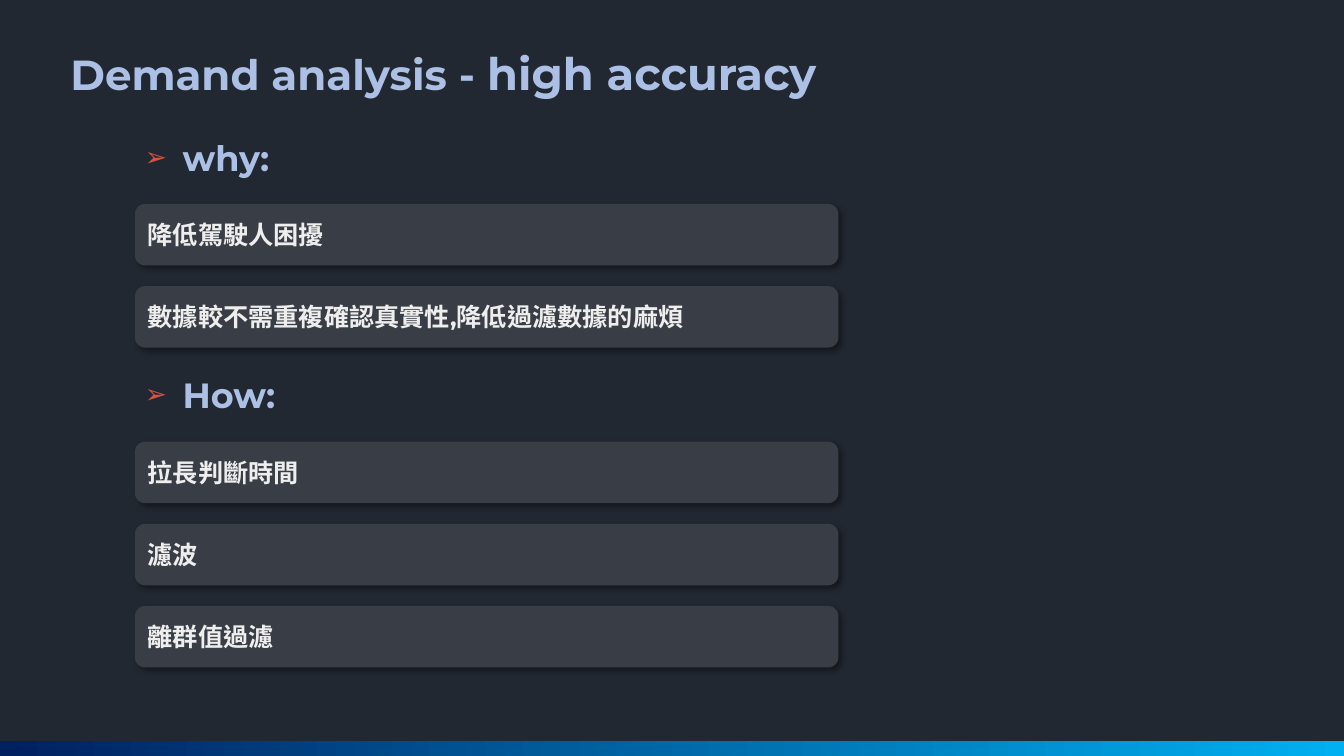
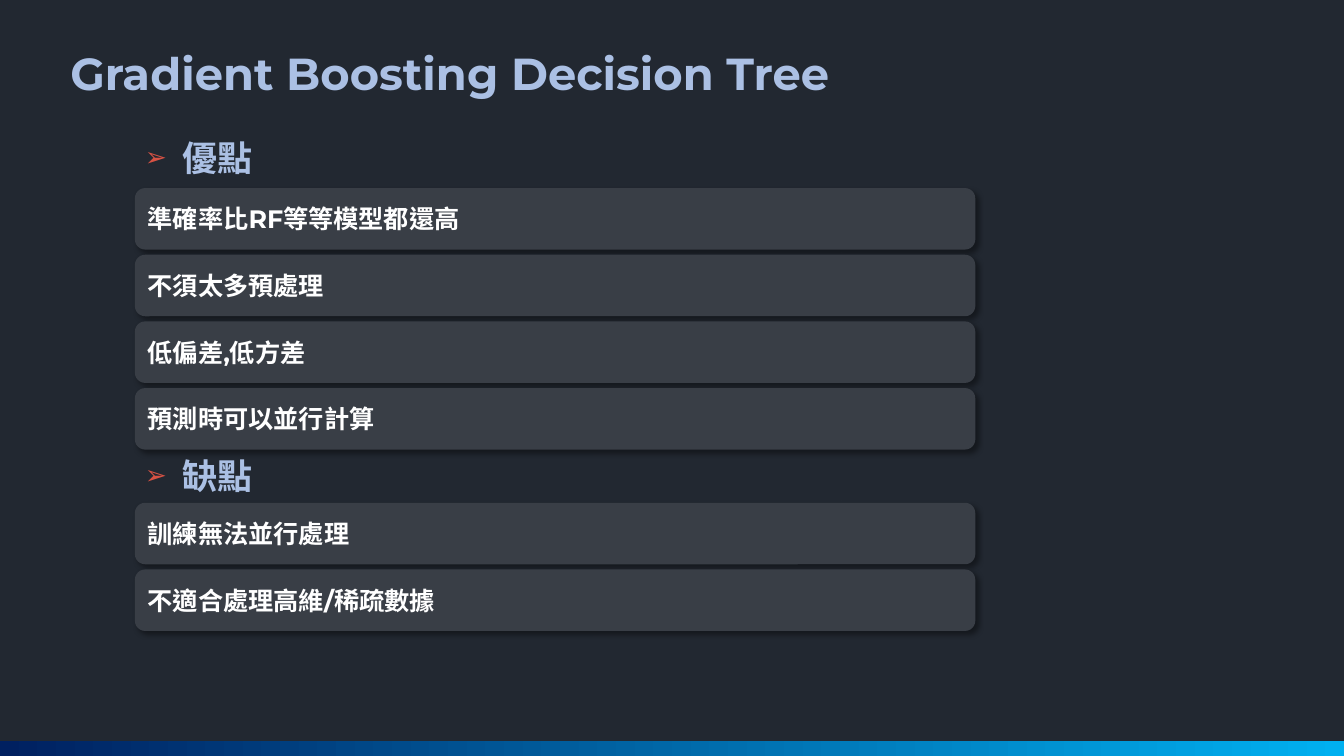
from dataclasses import dataclass

from lxml import etree
from pptx import Presentation
from pptx.dml.color import RGBColor
from pptx.enum.lang import MSO_LANGUAGE_ID
from pptx.enum.shapes import MSO_SHAPE
from pptx.enum.text import MSO_ANCHOR, MSO_AUTO_SIZE, PP_ALIGN
from pptx.oxml.ns import qn
from pptx.slide import Slide, SlideLayout
from pptx.util import Cm, Pt

RECTANGLE = MSO_SHAPE.RECTANGLE
ROUNDED = MSO_SHAPE.ROUNDED_RECTANGLE
TOP, MIDDLE = MSO_ANCHOR.TOP, MSO_ANCHOR.MIDDLE
LEFT = PP_ALIGN.LEFT
FIT_TEXT = MSO_AUTO_SIZE.SHAPE_TO_FIT_TEXT
CHINESE = MSO_LANGUAGE_ID.TRADITIONAL_CHINESE
TWO_CONTENT_LAYOUT = 3

PAGE_WIDTH, PAGE_HEIGHT = 33.87, 19.05
BAND_HEIGHT = 0.38
TITLE_LEFT, TITLE_TOP, TITLE_HEIGHT = 1.52, 1.02, 1.63
CONTENT_LEFT = 3.4
HEADING_HEIGHT = 1.32
CARD_HEIGHT = 1.55
BULLET_INDENT = Cm(0.95)


@dataclass(frozen=True)
class Theme:
    font: str = "Montserrat"
    background: str = "222831"
    band_start: str = "002060"
    band_end: str = "00B0F0"
    accent: str = "ABC0E4"
    bullet: str = "D75244"
    card: str = "393E46"
    shadow: str = "000000"
    soft_white: str = "EEEEEE"
    white: str = "FFFFFF"
    title_size: int = 32
    small_title_size: int = 30
    heading_size: int = 25
    card_size: int = 18


THEME = Theme()


@dataclass(frozen=True)
class Span:
    text: str
    size: int = THEME.title_size


@dataclass(frozen=True)
class Section:
    heading: str
    heading_top: float
    heading_width: float
    cards_top: float
    cards: tuple[str, ...]


@dataclass(frozen=True)
class PageContent:
    title: tuple[Span, ...]
    title_width: float
    card_width: float
    card_pitch: float
    card_text_color: str
    sections: tuple[Section, Section]


PAGES = (
    PageContent(
        title=(
            Span("Demand analysis - ", THEME.small_title_size),
            Span("high accuracy"),
        ),
        title_width=20.35,
        card_width=17.73,
        card_pitch=2.07,
        card_text_color=THEME.soft_white,
        sections=(
            Section("why:", 3.3, 4.06, 5.14,
                    ("降低駕駛人困擾",
                     "數據較不需重複確認真實性,降低過濾數據的麻煩")),
            Section("How:", 9.28, 4.24, 11.13,
                    ("拉長判斷時間", "濾波", "離群值過濾")),
        ),
    ),
    PageContent(
        title=(Span("Gradient Boosting Decision Tree"),),
        title_width=20.78,
        card_width=21.18,
        card_pitch=1.68,
        card_text_color=THEME.white,
        sections=(
            Section("優點", 3.3, 3.25, 4.74,
                    ("準確率比RF等等模型都還高", "不須太多預處理",
                     "低偏差,低方差", "預測時可以並行計算")),
            Section("缺點", 11.33, 3.25, 12.67,
                    ("訓練無法並行處理", "不適合處理高維/稀疏數據")),
        ),
    ),
)


def rgb(color: str) -> RGBColor:
    return RGBColor.from_string(color)


def add_element(parent, tag: str, **attributes: str):
    return etree.SubElement(parent, qn(tag), attributes)


def format_run(run, size: int, color: str) -> None:
    run.font.name = THEME.font
    run.font.size = Pt(size)
    run.font.bold = True
    run.font.color.rgb = rgb(color)
    run.font.language_id = CHINESE


def place(shape, left: float, top: float, width: float, height: float) -> None:
    shape.left, shape.top = Cm(left), Cm(top)
    shape.width, shape.height = Cm(width), Cm(height)


def fit_to_text(frame) -> None:
    frame.word_wrap = False
    frame.auto_size = FIT_TEXT
    frame.vertical_anchor = TOP


def add_bullet(paragraph) -> None:
    properties = paragraph._p.get_or_add_pPr()
    properties.set("marL", str(BULLET_INDENT))
    properties.set("indent", str(-BULLET_INDENT))
    color = add_element(properties, "a:buClr")
    add_element(color, "a:srgbClr", val=THEME.bullet)
    add_element(properties, "a:buSzPct", val="75000")
    add_element(properties, "a:buFont", typeface="Arial")
    add_element(properties, "a:buChar", char="➢")


def add_shadow(shape) -> None:
    shape.shadow.inherit = False
    effects = shape._element.spPr.find(qn("a:effectLst"))
    outer = add_element(effects, "a:outerShdw", blurRad=str(Pt(4)),
                        dist=str(Pt(3)), dir=str(45 * 60000),
                        algn="tl", rotWithShape="0")
    color = add_element(outer, "a:srgbClr", val=THEME.shadow)
    add_element(color, "a:alpha", val="40000")


def add_band(page: Slide, layout: SlideLayout) -> None:
    """Draw the gradient band and move it behind everything on the layout."""
    band = page.shapes.add_shape(
        RECTANGLE, 0, Cm(PAGE_HEIGHT - BAND_HEIGHT), Cm(PAGE_WIDTH), Cm(BAND_HEIGHT))
    band.shadow.inherit = False
    band.line.fill.background()
    band.fill.gradient()
    band.fill.gradient_angle = 0
    for stop, color in zip(band.fill.gradient_stops,
                           (THEME.band_start, THEME.band_end)):
        stop.color.rgb = rgb(color)
    layout.shapes.element.insert(2, band.element)


def fill_title(page: Slide, content: PageContent) -> None:
    title = page.shapes.title
    place(title, TITLE_LEFT, TITLE_TOP, content.title_width, TITLE_HEIGHT)
    fit_to_text(title.text_frame)
    paragraph = title.text_frame.paragraphs[0]
    paragraph.alignment = LEFT
    for span in content.title:
        run = paragraph.add_run()
        run.text = span.text
        format_run(run, span.size, THEME.accent)


def fill_heading(heading, section: Section) -> None:
    place(heading, CONTENT_LEFT, section.heading_top,
          section.heading_width, HEADING_HEIGHT)
    frame = heading.text_frame
    frame.text = section.heading
    fit_to_text(frame)
    paragraph = frame.paragraphs[0]
    paragraph.space_before = Pt(0)
    add_bullet(paragraph)
    format_run(paragraph.runs[0], THEME.heading_size, THEME.accent)


def add_card(page: Slide, content: PageContent, text: str, top: float) -> None:
    card = page.shapes.add_shape(ROUNDED, Cm(CONTENT_LEFT), Cm(top),
                                 Cm(content.card_width), Cm(CARD_HEIGHT))
    card.fill.solid()
    card.fill.fore_color.rgb = rgb(THEME.card)
    card.line.fill.background()
    add_shadow(card)
    frame = card.text_frame
    frame.text = text
    frame.word_wrap = True
    frame.vertical_anchor = MIDDLE
    paragraph = frame.paragraphs[0]
    paragraph.alignment = LEFT
    format_run(paragraph.runs[0], THEME.card_size, content.card_text_color)


def fill_page(page: Slide, content: PageContent) -> None:
    fill_title(page, content)
    for number, section in enumerate(content.sections, start=1):
        fill_heading(page.placeholders[number], section)
        for row, text in enumerate(section.cards):
            add_card(page, content, text,
                     section.cards_top + row * content.card_pitch)


def main() -> None:
    deck = Presentation()
    deck.slide_width, deck.slide_height = Cm(PAGE_WIDTH), Cm(PAGE_HEIGHT)
    background = deck.slide_master.background.fill
    background.solid()
    background.fore_color.rgb = rgb(THEME.background)
    layout = deck.slide_layouts[TWO_CONTENT_LAYOUT]
    pages = [deck.slides.add_slide(layout) for _ in PAGES]
    add_band(pages[0], layout)
    for page, content in zip(pages, PAGES):
        fill_page(page, content)
    deck.save("out.pptx")


if __name__ == "__main__":
    main()
